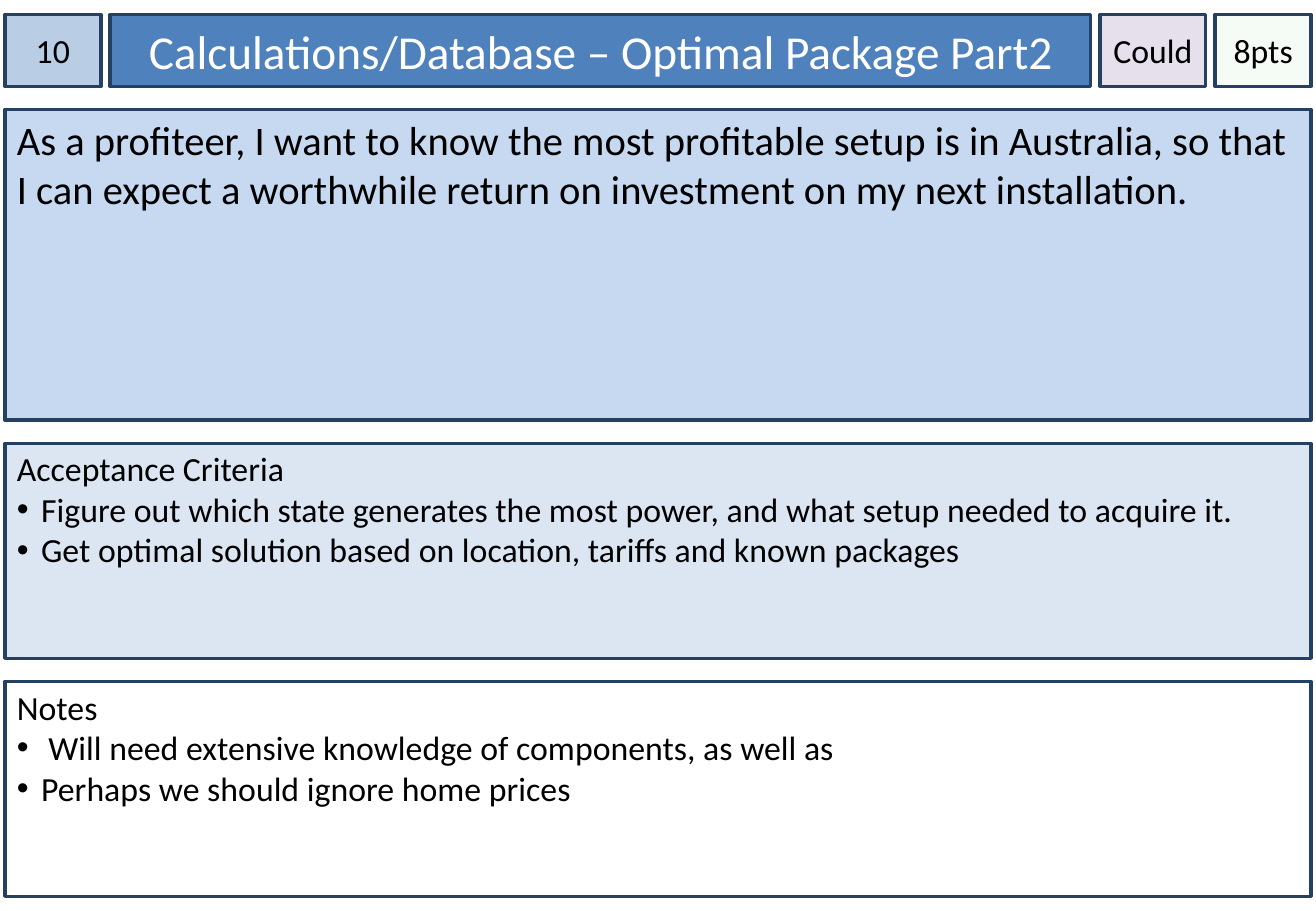
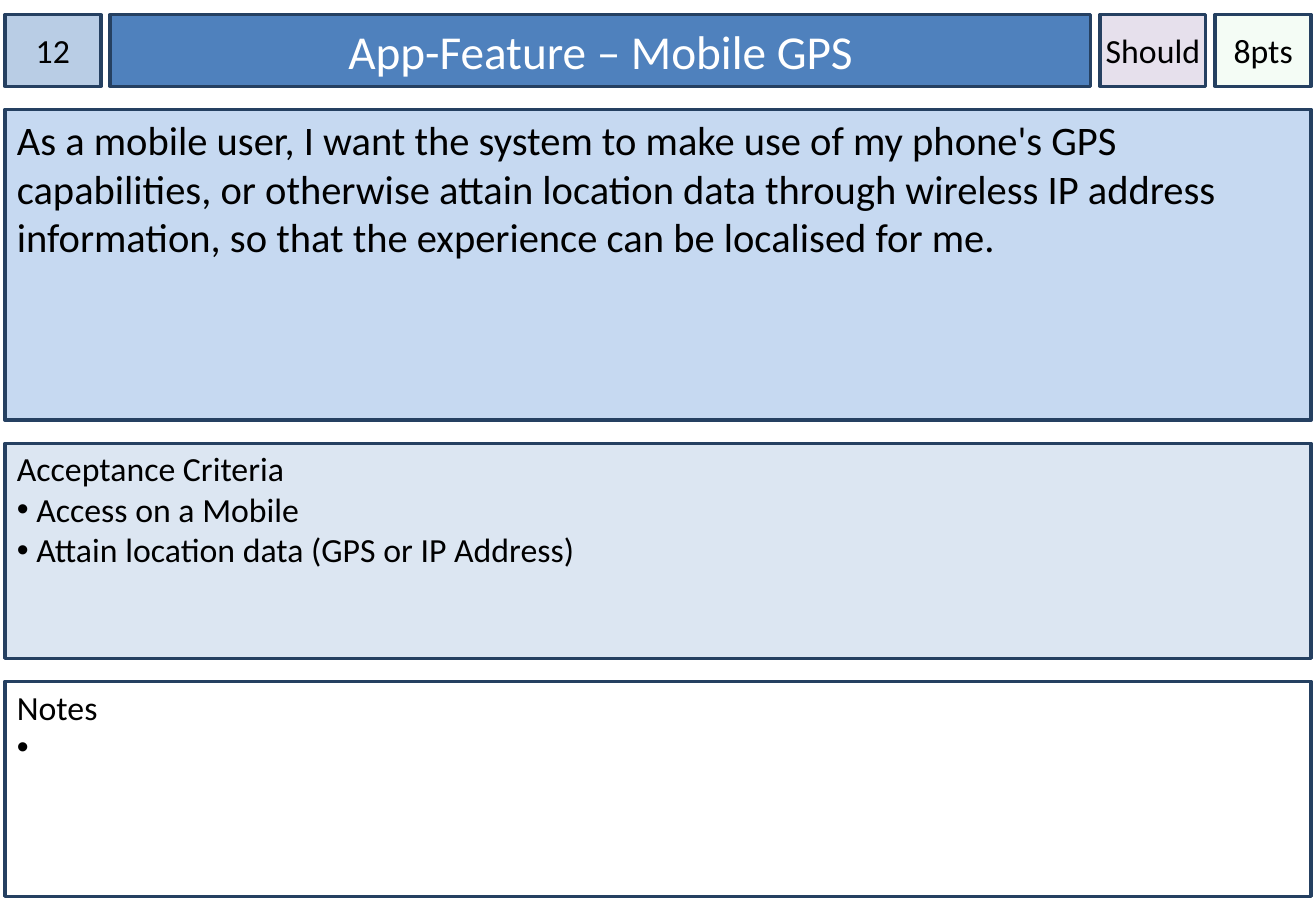
from dataclasses import dataclass
from itertools import accumulate

from lxml import etree
from pptx import Presentation
from pptx.dml.color import RGBColor
from pptx.enum.shapes import MSO_SHAPE
from pptx.enum.text import MSO_ANCHOR, MSO_AUTO_SIZE, PP_ALIGN
from pptx.oxml.ns import qn
from pptx.util import Inches, Pt

RECTANGLE = MSO_SHAPE.RECTANGLE
TOP, MIDDLE = MSO_ANCHOR.TOP, MSO_ANCHOR.MIDDLE
LEFT, CENTER = PP_ALIGN.LEFT, PP_ALIGN.CENTER
NO_AUTOFIT = MSO_AUTO_SIZE.NONE
TITLE_ONLY = 5


@dataclass(frozen=True)
class Theme:
    font: str = "Calibri"
    bullet_font: str = "Arial"
    title_size: int = 28
    story_size: int = 24
    body_size: int = 20
    text: str = "000000"
    title_text: str = "FFFFFF"
    outline: str = "254061"
    outline_width: int = 2
    number: str = "B9CDE5"
    title: str = "4F81BD"
    priority: str = "E6E0EC"
    points: str = "CCF0CD"
    points_opacity: int = 20
    story: str = "C6D9F1"
    criteria: str = "DCE6F2"
    notes: str = "FFFFFF"


@dataclass(frozen=True)
class Item:
    text: str
    hang: float = 0.2


WIDTH, HEIGHT = 10.83, 7.5
MARGIN_X, MARGIN_Y = 0.04, 0.12
COLUMNS = (0.79, 8.07, 0.87, 0.79)
ROWS = (0.59, 2.56, 1.77, 1.77)
BADGE_INSETS = (0, 0.05, 0, 0.05)
STORY_INSETS = (0.1, 0.05, 0.1, 0.05)
LIST_INSETS = (0.1, 0.04, 0.1, 0.05)


def tracks(sizes, total, margin):
    """Return (start, size) pairs that fill the total with equal gaps."""
    gap = (total - 2 * margin - sum(sizes)) / (len(sizes) - 1)
    starts = accumulate((size + gap for size in sizes[:-1]), initial=margin)
    return list(zip(starts, sizes))


class StoryDeck:
    def __init__(self, theme):
        self.theme = theme
        self.deck = Presentation()
        self.deck.slide_width = Inches(WIDTH)
        self.deck.slide_height = Inches(HEIGHT)
        self.columns = tracks(COLUMNS, WIDTH, MARGIN_X)
        self.rows = tracks(ROWS, HEIGHT, MARGIN_Y)
        self.page = None

    def cell(self, row, column=None):
        """Return left, top, width, height; no column means the full row."""
        left, width = (MARGIN_X, WIDTH - 2 * MARGIN_X) if column is None else self.columns[column]
        top, height = self.rows[row]
        return [Inches(length) for length in (left, top, width, height)]

    def paint(self, box, fill):
        box.fill.solid()
        box.fill.fore_color.rgb = RGBColor.from_string(fill)
        box.line.color.rgb = RGBColor.from_string(self.theme.outline)
        box.line.width = Pt(self.theme.outline_width)

    def frame(self, box, insets, anchor, wrap=True):
        frame = box.text_frame
        frame.auto_size = NO_AUTOFIT
        frame.word_wrap = wrap
        frame.vertical_anchor = anchor
        (frame.margin_left, frame.margin_top,
         frame.margin_right, frame.margin_bottom) = map(Inches, insets)
        return frame

    def add_text(self, para, text, *, size, color=None, align=LEFT):
        para.alignment = align
        span = para.add_run()
        span.text = text
        span.font.name = self.theme.font
        span.font.size = Pt(size)
        span.font.color.rgb = RGBColor.from_string(color or self.theme.text)

    def bullet(self, para, hang):
        properties = para._p.get_or_add_pPr()
        properties.set("marL", str(Inches(hang)))
        properties.set("indent", str(-Inches(hang)))
        etree.SubElement(properties, qn("a:buFont")).set("typeface", self.theme.bullet_font)
        etree.SubElement(properties, qn("a:buChar")).set("char", "•")

    def panel(self, fill, row, column=None):
        box = self.page.shapes.add_shape(RECTANGLE, *self.cell(row, column))
        box.shadow.inherit = False
        self.paint(box, fill)
        return box

    def title(self, text):
        box = self.page.shapes.title
        box.left, box.top, box.width, box.height = self.cell(0, 1)
        self.paint(box, self.theme.title)
        para = self.frame(box, STORY_INSETS, MIDDLE).paragraphs[0]
        self.add_text(para, text, size=self.theme.title_size,
                      color=self.theme.title_text, align=CENTER)

    def badge(self, text, fill, column, wrap=True, opacity=100):
        box = self.panel(fill, 0, column)
        if opacity < 100:
            color = box.fill._xPr.find(qn("a:solidFill"))[0]
            etree.SubElement(color, qn("a:alpha")).set("val", str(opacity * 1000))
        para = self.frame(box, BADGE_INSETS, MIDDLE, wrap).paragraphs[0]
        self.add_text(para, text, size=self.theme.body_size, align=CENTER)

    def story(self, text):
        box = self.panel(self.theme.story, 1)
        para = self.frame(box, STORY_INSETS, TOP).paragraphs[0]
        self.add_text(para, text, size=self.theme.story_size)

    def bullet_list(self, heading, items, fill, row):
        frame = self.frame(self.panel(fill, row), LIST_INSETS, TOP)
        self.add_text(frame.paragraphs[0], heading, size=self.theme.body_size)
        for item in items:
            para = frame.add_paragraph()
            self.bullet(para, item.hang)
            self.add_text(para, item.text, size=self.theme.body_size)

    def card(self, number, title, priority, points, story, criteria, notes):
        theme = self.theme
        self.page = self.deck.slides.add_slide(self.deck.slide_layouts[TITLE_ONLY])
        self.badge(number, theme.number, 0)
        self.title(title)
        self.badge(priority, theme.priority, 2, wrap=False)
        self.badge(points, theme.points, 3, opacity=theme.points_opacity)
        self.story(story)
        self.bullet_list("Acceptance Criteria", criteria, theme.criteria, 2)
        self.bullet_list("Notes", notes, theme.notes, 3)


CARDS = (
    dict(
        number="10",
        title="Calculations/Database – Optimal Package Part2",
        priority="Could",
        points="8pts",
        story="As a profiteer, I want to know the most profitable setup is in Australia, "
              "so that I can expect a worthwhile return on investment on my next installation.",
        criteria=(
            Item("Figure out which state generates the most power, "
                 "and what setup needed to acquire it."),
            Item("Get optimal solution based on location, tariffs and known packages"),
        ),
        notes=(
            Item("Will need extensive knowledge of components, as well as", hang=0.26),
            Item("Perhaps we should ignore home prices"),
        ),
    ),
    dict(
        number="12",
        title="App-Feature – Mobile GPS",
        priority="Should",
        points="8pts",
        story="As a mobile user, I want the system to make use of my phone's GPS capabilities, "
              "or otherwise attain location data through wireless IP address information, "
              "so that the experience can be localised for me.",
        criteria=(
            Item("Access on a Mobile", hang=0.16),
            Item("Attain location data (GPS or IP Address)", hang=0.16),
        ),
        notes=(Item(" "),),
    ),
)


def main():
    stories = StoryDeck(Theme())
    for card in CARDS:
        stories.card(**card)
    stories.deck.save("out.pptx")


if __name__ == "__main__":
    main()
